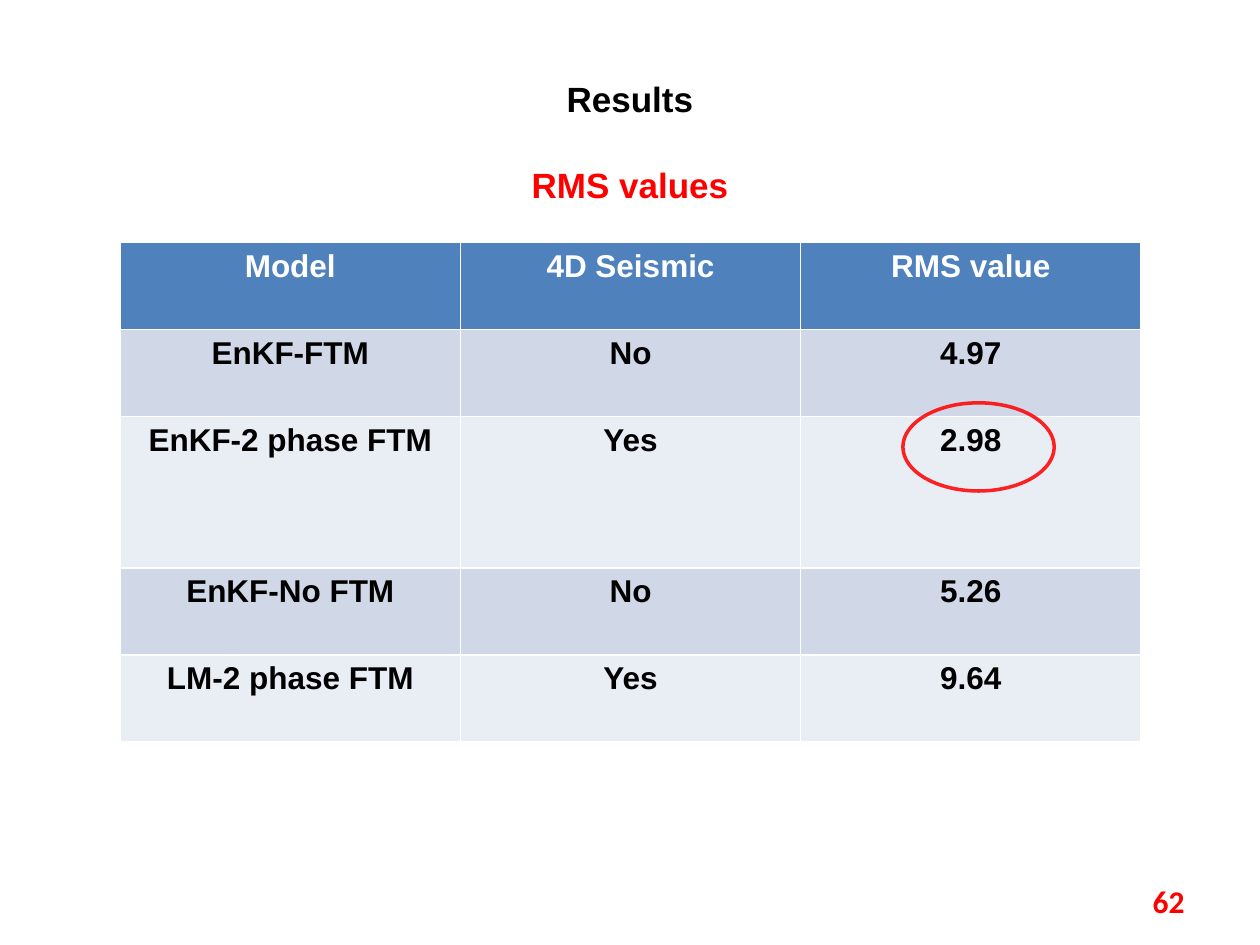
from lxml import etree
from pptx import Presentation
from pptx.dml.color import RGBColor
from pptx.enum.shapes import MSO_SHAPE
from pptx.enum.text import MSO_ANCHOR, MSO_AUTO_SIZE, PP_ALIGN
from pptx.oxml.ns import qn
from pptx.util import Pt

CENTER, RIGHT = PP_ALIGN.CENTER, PP_ALIGN.RIGHT
TOP, MIDDLE = MSO_ANCHOR.TOP, MSO_ANCHOR.MIDDLE
NO_AUTOFIT = MSO_AUTO_SIZE.NONE
ELLIPSE = MSO_SHAPE.OVAL
BLACK = RGBColor(0x00, 0x00, 0x00)
WHITE = RGBColor(0xFF, 0xFF, 0xFF)
RED = RGBColor(0xFF, 0x00, 0x00)
HEADER_BLUE = RGBColor(0x4F, 0x81, 0xBD)
BAND_DARK = RGBColor(0xD0, 0xD8, 0xE8)
BAND_LIGHT = RGBColor(0xE9, 0xED, 0xF4)


def write(frame, text, align, **font_format):
    frame.text = text
    para = frame.paragraphs[0]
    para.alignment = align
    para.space_before = Pt(0)
    span = para.runs[0]
    color = font_format.pop("color")
    for name, value in font_format.items():
        setattr(span.font, name, value)
    span.font.color.rgb = color


def place(shape, left, top, width, height):
    position = {"left": left, "top": top, "width": width, "height": height}
    for name, value in position.items():
        setattr(shape, name, Pt(value))


deck = Presentation()
deck.slide_width, deck.slide_height = Pt(720), Pt(540)
page = deck.slides.add_slide(deck.slide_layouts[1])
heading = {"name": "Arial", "size": Pt(20), "bold": True}

title = page.shapes.title
place(title, 30, 40.3, 660, 31.5)
title.text_frame.auto_size = NO_AUTOFIT
title.text_frame.vertical_anchor = MIDDLE
write(title.text_frame, "Results", CENTER, color=BLACK, **heading)

body = page.placeholders[1]
place(body, 30, 90, 660, 248)
body.text_frame.auto_size = NO_AUTOFIT
body.text_frame.vertical_anchor = TOP
write(body.text_frame, "RMS values", CENTER, color=RED, **heading)
body_format = body.text_frame.paragraphs[0]._p.get_or_add_pPr()
body_format.set("marL", "0")
body_format.set("indent", "0")
etree.SubElement(body_format, qn("a:buNone"))

rows = [
    ("Model", "4D Seismic", "RMS value"),
    ("EnKF-FTM", "No", "4.97"),
    ("EnKF-2 phase FTM", "Yes", "2.98"),
    ("EnKF-No FTM", "No", "5.26"),
    ("LM-2 phase FTM", "Yes", "9.64"),
]
row_heights = [49.8, 49.8, 86.4, 49.8, 49.8]
table = page.shapes.add_table(
    len(rows), 3, Pt(68.7), Pt(138.5), Pt(583.2), Pt(sum(row_heights))
).table
for column in table.columns:
    column.width = Pt(194.4)
for index, (values, height) in enumerate(zip(rows, row_heights)):
    table.rows[index].height = Pt(height)
    if index == 0:
        fill, color = HEADER_BLUE, WHITE
    else:
        fill, color = (BAND_DARK if index % 2 else BAND_LIGHT), BLACK
    for cell, value in zip(table.rows[index].cells, values):
        cell.fill.solid()
        cell.fill.fore_color.rgb = fill
        write(cell.text_frame, value, CENTER,
              name="Arial", size=Pt(18), bold=True, color=color)

highlight = page.shapes.add_shape(ELLIPSE, Pt(516), Pt(230.2), Pt(86.4), Pt(50.4))
highlight.shadow.inherit = False
highlight.fill.background()
highlight.line.width = Pt(2)
highlight.line.color.rgb = RED
line_color = highlight.line._ln.find(".//" + qn("a:srgbClr"))
etree.SubElement(line_color, qn("a:alpha"), val="86000")

number_box = page.shapes.add_textbox(Pt(516), Pt(500.5), Pt(168), Pt(28.8))
number_box.text_frame.word_wrap = True
number_box.text_frame.vertical_anchor = MIDDLE
write(number_box.text_frame, "62", RIGHT,
      name="Calibri", size=Pt(18), bold=True, color=RED)

deck.save("out.pptx")
